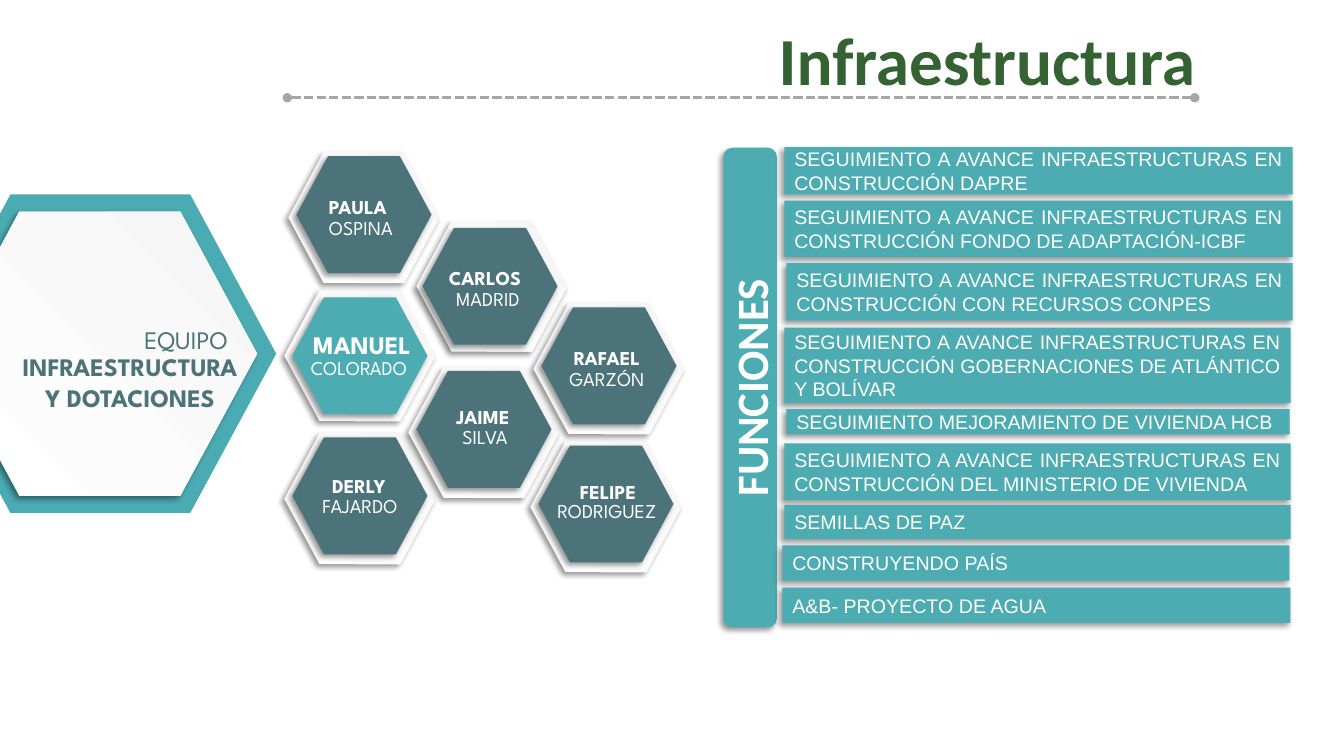
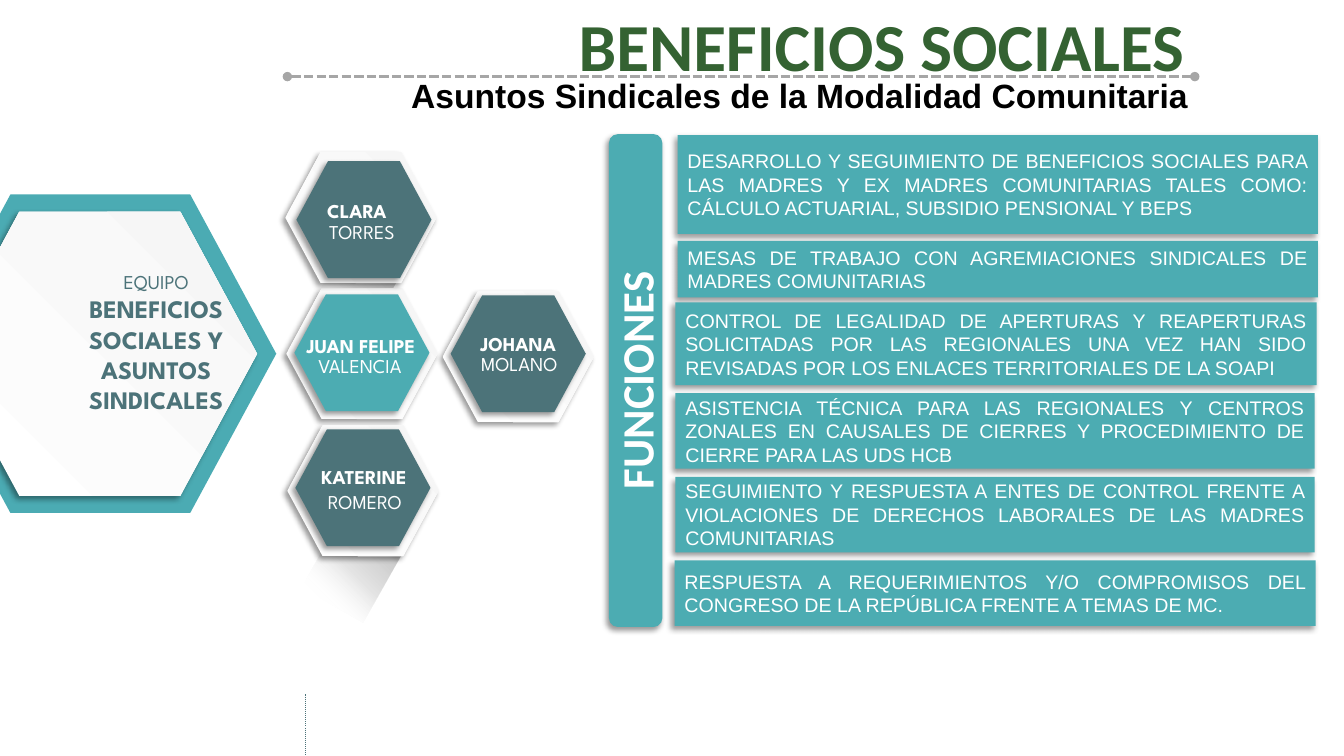
from dataclasses import dataclass

from pptx import Presentation
from pptx.dml.color import RGBColor
from pptx.enum.dml import MSO_LINE
from pptx.enum.shapes import MSO_CONNECTOR, MSO_SHAPE as SHAPE
from pptx.enum.text import MSO_ANCHOR as ANCHOR, PP_ALIGN as ALIGN
from pptx.oxml import parse_xml
from pptx.oxml.ns import nsdecls, qn
from pptx.util import Pt

PX = 9144  # EMU: 100 px to the inch

WHITE = RGBColor(0xFF, 0xFF, 0xFF)
BLACK = RGBColor(0x00, 0x00, 0x00)
GREEN = RGBColor(0x34, 0x62, 0x32)
GRAY = RGBColor(0xA6, 0xA6, 0xA6)
TEAL = RGBColor(0x4C, 0xAC, 0xB2)
TEAL_FRAME = RGBColor(0x4B, 0xAB, 0xB3)
SLATE = RGBColor(0x4C, 0x73, 0x79)

SPARTAN, CALIBRI, ARIAL = "League Spartan", "Calibri", "Arial"

# Gradient stops: position %, colour, opacity %
PAPER = [(0, "F6F6F6", 100), (100, "FFFFFF", 100)]
SHADE = [(0, "000000", 76), (31, "000000", 20), (54, "565656", 16), (81, "FFFFFF", 0)]


@dataclass
class Member:
    """A team member; label offsets count from the corner of the card."""
    first: str
    last: str
    at: tuple
    first_off: tuple
    last_off: tuple
    face_off: tuple = (8, 4)
    fill: RGBColor = SLATE
    size: int = 14


INFRA_TEAM = [
    Member("MANUEL", "COLORADO", (282, 288), (-4, 34), (-7, 60), (8, 7), TEAL, 18),
    Member("DERLY", "FAJARDO", (282, 430), (-7, 35), (-6, 55)),
    Member("PAULA", "OSPINA", (286, 151), (-12, 37), (-9, 58)),
    Member("JAIME", "SILVA", (405, 364), (-7, 33), (-5, 53)),
    Member("FELIPE", "RODRIGUEZ", (526, 438), (-4, 33), (-5, 52)),
    Member("CARLOS", "MADRID", (413, 219), (-13, 40), (-10, 61), (6, 7)),
    Member("RAFAEL", "GARZÓN", (529, 301), (-8, 37), (-8, 58)),
]
INFRA_TASKS = [
    (778, 146, 504, 47, "SEGUIMIENTO A AVANCE INFRAESTRUCTURAS EN CONSTRUCCIÓN DAPRE"),
    (778, 199, 504, 56, "SEGUIMIENTO A AVANCE INFRAESTRUCTURAS EN CONSTRUCCIÓN FONDO DE "
                        "ADAPTACIÓN-ICBF"),
    (780, 261, 502, 57, "SEGUIMIENTO A AVANCE INFRAESTRUCTURAS EN CONSTRUCCIÓN CON "
                        "RECURSOS CONPES"),
    (778, 325, 502, 75, "SEGUIMIENTO A AVANCE INFRAESTRUCTURAS EN CONSTRUCCIÓN "
                        "GOBERNACIONES DE ATLÁNTICO Y BOLÍVAR"),
    (780, 406, 499, 25, "SEGUIMIENTO MEJORAMIENTO DE VIVIENDA HCB"),
    (778, 440, 502, 56, "SEGUIMIENTO A AVANCE INFRAESTRUCTURAS EN CONSTRUCCIÓN DEL "
                        "MINISTERIO DE VIVIENDA"),
    (778, 501, 502, 34, "SEMILLAS DE PAZ"),
    (776, 541, 503, 35, "CONSTRUYENDO PAÍS"),
    (776, 583, 504, 35, "A&B- PROYECTO DE AGUA"),
]
SOCIAL_TEAM = [
    Member("JOHANA", "MOLANO", (439, 289), (-6, 35), (-5, 55)),
    Member("JUAN FELIPE", "VALENCIA", (284, 286), (-7, 40), (-8, 60), (8, 6), TEAL),
    Member("KATERINE", "ROMERO", (285, 422), (-5, 34), (-4, 59)),
    Member("CLARA", "TORRES", (283, 151), (-10, 41), (-5, 62), (11, 9)),
]
SOCIAL_TASKS = [
    (672, 134, 635, 98, "DESARROLLO Y SEGUIMIENTO DE BENEFICIOS SOCIALES PARA LAS MADRES Y "
                        "EX MADRES COMUNITARIAS TALES COMO: CÁLCULO ACTUARIAL, SUBSIDIO "
                        "PENSIONAL Y BEPS"),
    (672, 239, 635, 56, "MESAS DE TRABAJO CON AGREMIACIONES SINDICALES DE MADRES "
                        "COMUNITARIAS"),
    (670, 300, 636, 82, "CONTROL DE LEGALIDAD DE APERTURAS Y REAPERTURAS SOLICITADAS POR "
                        "LAS REGIONALES UNA VEZ HAN SIDO REVISADAS POR LOS ENLACES "
                        "TERRITORIALES DE LA SOAPI"),
    (670, 390, 634, 75, "ASISTENCIA TÉCNICA PARA LAS REGIONALES Y CENTROS ZONALES EN "
                        "CAUSALES DE CIERRES Y PROCEDIMIENTO DE CIERRE PARA LAS UDS HCB"),
    (670, 473, 634, 75, "SEGUIMIENTO Y RESPUESTA A ENTES DE CONTROL FRENTE A VIOLACIONES "
                        "DE DERECHOS LABORALES DE LAS MADRES COMUNITARIAS"),
    (669, 556, 636, 65, "RESPUESTA A REQUERIMIENTOS Y/O COMPROMISOS DEL CONGRESO DE LA "
                        "REPÚBLICA FRENTE A TEMAS DE MC."),
]


def emu(*lengths):
    return [round(n * PX) for n in lengths]


def write(tf, text, *, size=14, font=SPARTAN, color=WHITE, bold=False, align=ALIGN.CENTER):
    """Fill the first paragraph, or add one when it already holds text."""
    p = tf.add_paragraph() if tf.text else tf.paragraphs[0]
    p.alignment = align
    r = p.add_run()
    r.text = text
    r.font.size, r.font.name, r.font.bold = Pt(size), font, bold
    r.font.color.rgb = color


def add_box(shapes, x, y, w, h, wrap=True):
    tf = shapes.add_textbox(*emu(x, y, w, h)).text_frame
    tf.word_wrap = wrap
    return tf


def set_gradient(sp, stops):
    """Radial gradient that starts at the top right corner."""
    gs = "".join(
        f'<a:gs pos="{pos * 1000}"><a:srgbClr val="{rgb}">'
        f'<a:alpha val="{alpha * 1000}"/></a:srgbClr></a:gs>'
        for pos, rgb, alpha in stops)
    grad = parse_xml(
        f'<a:gradFill {nsdecls("a")} rotWithShape="1"><a:gsLst>{gs}</a:gsLst>'
        '<a:path path="circle"><a:fillToRect l="100000" b="100000"/></a:path></a:gradFill>')
    sp.element.spPr.find(qn("a:prstGeom")).addnext(grad)


def set_shadow(sp):
    sp.element.spPr.find(qn("a:effectLst")).append(parse_xml(
        f'<a:outerShdw {nsdecls("a")} blurRad="50800" dist="38100" dir="8100000" '
        'algn="tr" rotWithShape="0"><a:srgbClr val="000000"><a:alpha val="40000"/>'
        '</a:srgbClr></a:outerShdw>'))


def add_shape(shapes, kind, x, y, w, h, fill, shadow=True):
    """Borderless shape; fill is a colour or a list of gradient stops."""
    sp = shapes.add_shape(kind, *emu(x, y, w, h))
    sp.line.fill.background()
    sp.shadow.inherit = False
    if isinstance(fill, RGBColor):
        sp.fill.solid()
        sp.fill.fore_color.rgb = fill
    else:
        set_gradient(sp, fill)
    if shadow:
        set_shadow(sp)
    return sp


def add_hexagon(shapes, x, y, w, h, fill, shadow=True):
    sp = add_shape(shapes, SHAPE.HEXAGON, x, y, w, h, fill, shadow)
    sp.adjustments[0] = 0.27


def add_line(s, x1, y1, x2, y2, color, width, dash, ends=None):
    line = s.shapes.add_connector(MSO_CONNECTOR.STRAIGHT, *emu(x1, y1, x2, y2))
    line.line.color.rgb = color
    line.line.width = Pt(width)
    line.line.dash_style = dash
    spPr = line.element.spPr
    if ends:
        for tag in ("headEnd", "tailEnd"):
            spPr.find(qn("a:ln")).append(
                parse_xml(f'<a:{tag} {nsdecls("a")} type="{ends}"/>'))
    spPr.append(parse_xml(f'<a:effectLst {nsdecls("a")}/>'))


def add_title(s, text, x, y, w, rule_y):
    write(add_box(s.shapes, x, y, w, 91, wrap=False), text,
          size=48, font=CALIBRI, color=GREEN, bold=True)
    add_line(s, 285, rule_y, 1185, rule_y, GRAY, 2.25, MSO_LINE.SQUARE_DOT, "oval")


def add_team_hexagon(s):
    group = s.shapes.add_group_shape().shapes
    add_hexagon(group, -75, 193, 349, 316, TEAL_FRAME, shadow=False)
    add_hexagon(group, -57, 210, 312, 282, PAPER)


def add_member(s, m):
    x, y = m.at
    group = s.shapes.add_group_shape().shapes
    add_hexagon(group, x, y, 150, 130, PAPER)
    add_hexagon(group, x + m.face_off[0], y + m.face_off[1], 134, 116, m.fill)
    for name, (dx, dy), size, bold in ((m.first, m.first_off, m.size, True),
                                       (m.last, m.last_off, 14, False)):
        write(add_box(group, x + dx, y + dy, 162, 34), name, size=size, bold=bold)


def add_shade(s, x, y, w, h):
    add_shape(s.shapes, SHAPE.RECTANGLE, x, y, w, h, SHADE, shadow=False).rotation = 29.6


def add_functions(s, bar, tasks):
    """Upright heading bar, given before its quarter turn, and the task boxes."""
    sp = add_shape(s.shapes, SHAPE.ROUNDED_RECTANGLE, *bar, TEAL)
    sp.rotation = 270
    sp.text_frame.vertical_anchor = ANCHOR.MIDDLE
    write(sp.text_frame, "FUNCIONES", size=32, font=CALIBRI, bold=True)
    for *box, text in tasks:
        tf = add_shape(s.shapes, SHAPE.RECTANGLE, *box, TEAL).text_frame
        tf.word_wrap = True
        tf.vertical_anchor = ANCHOR.MIDDLE
        write(tf, text, font=ARIAL, align=ALIGN.JUSTIFY)


def build_infrastructure(s):
    add_team_hexagon(s)
    write(add_box(s.shapes, 127, 317, 115, 40, wrap=False), "EQUIPO", size=18, color=SLATE)
    write(add_box(s.shapes, 4, 344, 250, 71), "INFRAESTRUCTURA Y DOTACIONES",
          size=18, color=SLATE, bold=True)
    for m in INFRA_TEAM:
        add_member(s, m)
    add_functions(s, (506, 358, 476, 53), INFRA_TASKS)
    add_title(s, "Infraestructura", 760, 13, 438, rule_y=97)


def build_social_benefits(s):
    add_shade(s, 326, 245, 62, 71)
    add_shade(s, 317, 515, 70, 91)
    add_line(s, 303, 689, 303, 750, SLATE, 0.75, MSO_LINE.ROUND_DOT)
    for m in SOCIAL_TEAM:
        add_member(s, m)
    add_team_hexagon(s)
    team = add_box(s.shapes, 65, 263, 180, 155)
    write(team, "EQUIPO", color=SLATE)
    write(team, "BENEFICIOS SOCIALES Y ASUNTOS SINDICALES", size=18, color=SLATE, bold=True)
    add_functions(s, (386, 351, 489, 53), SOCIAL_TASKS)
    add_title(s, "BENEFICIOS SOCIALES", 561, -1, 627, rule_y=76)
    write(add_box(s.shapes, 394, 69, 798, 50, wrap=False),
          "Asuntos Sindicales de la Modalidad Comunitaria",
          size=24, font=ARIAL, color=BLACK, bold=True)


def main():
    prs = Presentation()
    prs.slide_width, prs.slide_height = emu(1333, 750)
    for build in (build_infrastructure, build_social_benefits):
        build(prs.slides.add_slide(prs.slide_layouts[6]))
    prs.save("out.pptx")


if __name__ == "__main__":
    main()
